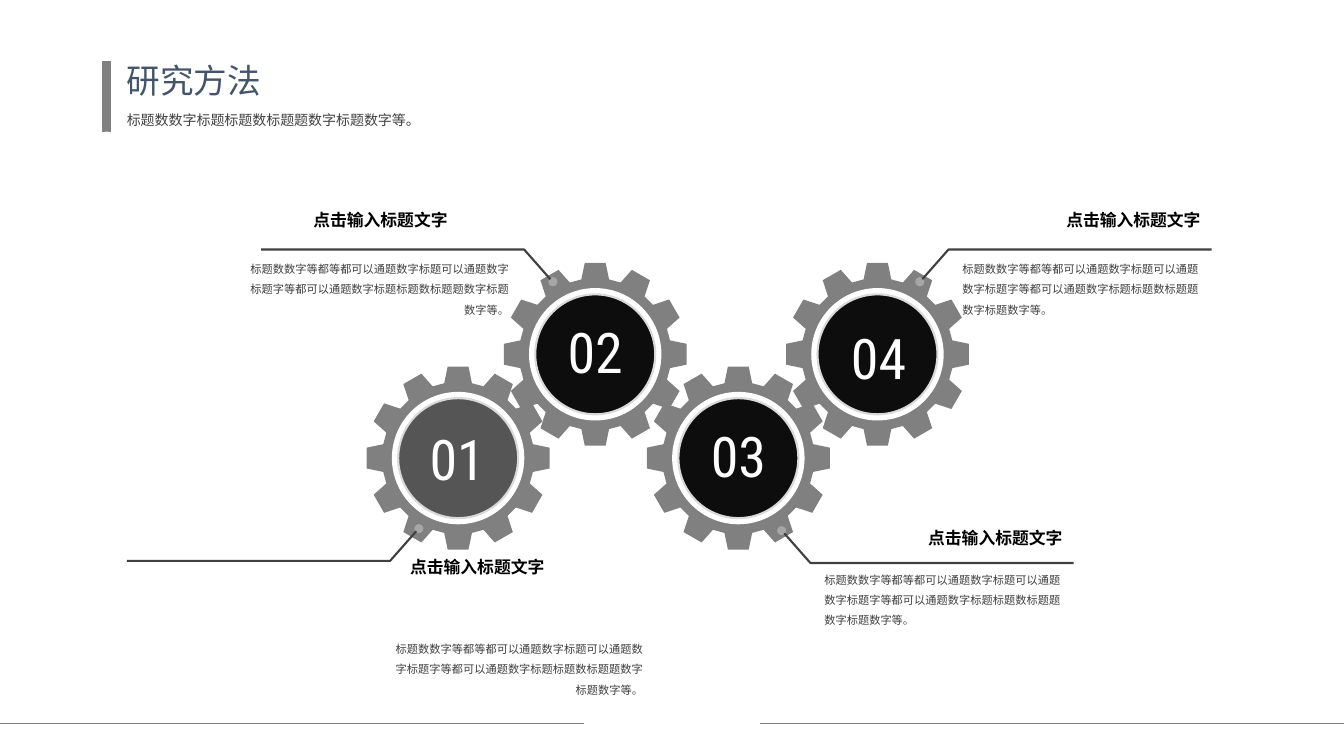
import math

import lxml.etree
import pptx
import pptx.dml.color
import pptx.enum.shapes
import pptx.enum.text
import pptx.oxml.ns
import pptx.util

GREY = pptx.dml.color.RGBColor(0x80, 0x80, 0x80)
SLATE = pptx.dml.color.RGBColor(0x44, 0x54, 0x6A)
DARK = pptx.dml.color.RGBColor(0x40, 0x40, 0x40)
BLACK = pptx.dml.color.RGBColor(0x00, 0x00, 0x00)
DISC = pptx.dml.color.RGBColor(0x0D, 0x0D, 0x0D)
RIM = pptx.dml.color.RGBColor(0xD9, 0xD9, 0xD9)
DOT = pptx.dml.color.RGBColor(0xA6, 0xA6, 0xA6)
WHITE = pptx.dml.color.RGBColor(0xFF, 0xFF, 0xFF)

CELL = pptx.util.Inches(0.1)
COLUMNS, ROWS = 133.33, 75
TEXT_FONT = "Noto Sans CJK SC"
NUMBER_FONT = "Roboto Condensed"
LEFT = pptx.enum.text.PP_ALIGN.LEFT
CENTER = pptx.enum.text.PP_ALIGN.CENTER
RIGHT = pptx.enum.text.PP_ALIGN.RIGHT
RECTANGLE = pptx.enum.shapes.MSO_SHAPE.RECTANGLE
OVAL = pptx.enum.shapes.MSO_SHAPE.OVAL

TEETH = 12
TOOTH = ((-10.5, 7.55), (-6.5, 9.13), (6.5, 9.13), (10.5, 7.55))
HOLE_RADIUS = 6.5
DISC_RADIUS = 5.95

HEADING = "点击输入标题文字"
BODY = "标题数数字等都等都可以通题数字标题可以通题数字标题字等都可以通题数字标题标题数标题题数字标题数字等。"


def cells(count):
    return round(count * CELL)


def polar(center, degrees, radius):
    angle = math.radians(degrees)
    return center[0] + radius * math.sin(angle), center[1] - radius * math.cos(angle)


class SlideBuilder:
    def __init__(self, slide):
        self.slide = slide

    def paint(self, shape, fill, line, width):
        shape.shadow.inherit = False
        if fill is None:
            shape.fill.background()
        else:
            shape.fill.solid()
            shape.fill.fore_color.rgb = fill
        if line is None:
            shape.line.fill.background()
        else:
            shape.line.color.rgb = line
            shape.line.width = pptx.util.Pt(width)
        return shape

    def preset(self, kind, left, top, width, height, fill=None, line=None, line_width=1):
        shape = self.slide.shapes.add_shape(kind, *map(cells, (left, top, width, height)))
        return self.paint(shape, fill, line, line_width)

    def circle(self, center, radius, fill=None, line=None, line_width=1):
        left, top = center[0] - radius, center[1] - radius
        return self.preset(OVAL, left, top, 2 * radius, 2 * radius, fill, line, line_width)

    def outline(self, contours, closed, fill=None, line=None, line_width=1):
        scaled = [[(cells(x), cells(y)) for x, y in contour] for contour in contours]
        builder = self.slide.shapes.build_freeform(*scaled[0][0])
        for index, contour in enumerate(scaled):
            if index:
                builder.move_to(*contour[0])
            builder.add_line_segments(contour[1:], close=closed)
        return self.paint(builder.convert_to_shape(), fill, line, line_width)

    def rule(self, start, end, row):
        connector = self.slide.shapes.add_connector(
            pptx.enum.shapes.MSO_CONNECTOR.STRAIGHT,
            cells(start), cells(row), cells(end), cells(row))
        connector.line.color.rgb = GREY
        connector.line.width = pptx.util.Pt(0.5)
        properties = connector._element.spPr
        lxml.etree.SubElement(properties, pptx.oxml.ns.qn("a:effectLst"))

    def text(self, box, words, size, color, font=TEXT_FONT, align=LEFT, bold=False, spacing=1.0):
        shape = self.slide.shapes.add_textbox(*map(cells, box))
        frame = shape.text_frame
        frame.text = words
        frame.word_wrap = True
        frame.auto_size = pptx.enum.text.MSO_AUTO_SIZE.SHAPE_TO_FIT_TEXT
        paragraph = frame.paragraphs[0]
        paragraph.alignment = align
        paragraph.line_spacing = spacing
        run = paragraph.runs[0]
        run.font.size = pptx.util.Pt(size)
        run.font.bold = bold
        run.font.color.rgb = color
        run.font.name = font
        east_asian = lxml.etree.SubElement(run._r.get_or_add_rPr(), pptx.oxml.ns.qn("a:ea"))
        east_asian.set("typeface", font)

    def gear(self, center, opacity):
        teeth = [polar(center, tooth * 360 / TEETH + degrees, radius)
                 for tooth in range(TEETH) for degrees, radius in TOOTH]
        hole = [polar(center, -degrees, HOLE_RADIUS) for degrees in range(0, 360, 4)]
        self.outline([teeth, hole], True, fill=GREY)
        self.circle(center, HOLE_RADIUS, line=WHITE)
        disc = self.circle(center, DISC_RADIUS, DISC, RIM, 1.5)
        if opacity < 100:
            color = disc._element.spPr.find(".//" + pptx.oxml.ns.qn("a:srgbClr"))
            alpha = lxml.etree.SubElement(color, pptx.oxml.ns.qn("a:alpha"))
            alpha.set("val", str(opacity * 1000))

    def callout(self, start, side, rise, heading_box, body_box, body_align):
        x, y = start
        self.circle((x - side * 0.25, y - rise * 0.25), 0.45, fill=DOT)
        bend = y + rise * 2.95
        leader = [start, (x + side * 2.6, bend), (x + side * 28.7, bend)]
        self.outline([leader], False, line=DARK, line_width=1.5)
        self.text(heading_box, HEADING, 12, BLACK, align=RIGHT, bold=True)
        self.text(body_box, BODY, 8, DARK, align=body_align, spacing=1.5)


GEARS = [
    ((45.45, 45.45), 70, "01", (39.9, 41.6)),
    ((59.05, 35.15), 100, "02", (53.6, 31)),
    ((73.25, 45.45), 100, "03", (67.8, 41.3)),
    ((87.05, 35.15), 100, "04", (81.7, 31.6)),
]

CALLOUTS = [
    ((91.5, 27.7), 1, -1, (96.8, 20.3, 23.3, 3), (94.5, 24.9, 26.3, 7.1), LEFT),
    ((77.8, 52.9), 1, 1, (84.8, 51.9, 21.6, 3), (80.8, 55.7, 26.3, 7.1), LEFT),
    ((54.6, 27.7), -1, -1, (22.2, 20.3, 23.2, 3), (23.3, 24.9, 28.2, 7.1), RIGHT),
    ((41.3, 52.7), -1, 1, (33.8, 54.7, 21.2, 3), (38.2, 62.6, 26.6, 7.1), RIGHT),
]


def main():
    presentation = pptx.Presentation()
    presentation.slide_width = cells(COLUMNS)
    presentation.slide_height = cells(ROWS)
    builder = SlideBuilder(presentation.slides.add_slide(presentation.slide_layouts[6]))

    for start, end in ((0, 57.9), (75.4, COLUMNS)):
        builder.rule(start, end, 71.8)

    builder.preset(RECTANGLE, 10.2, 6.1, 0.8, 6.9, GREY, GREY, 0.5)
    builder.text((11.6, 6.2, 33.4, 4.3), "研究方法", 24, SLATE, spacing=0.8)
    builder.text((11.6, 10.6, 37.6, 2.7), "标题数数字标题标题数标题题数字标题数字等。", 10, DARK)

    for center, opacity, number, corner in GEARS:
        builder.gear(center, opacity)
    for callout in CALLOUTS:
        builder.callout(*callout)
    for center, opacity, number, corner in GEARS:
        builder.text((*corner, 10.9, 7.7), number, 40, WHITE, NUMBER_FONT, CENTER)

    presentation.save("out.pptx")


if __name__ == "__main__":
    main()
